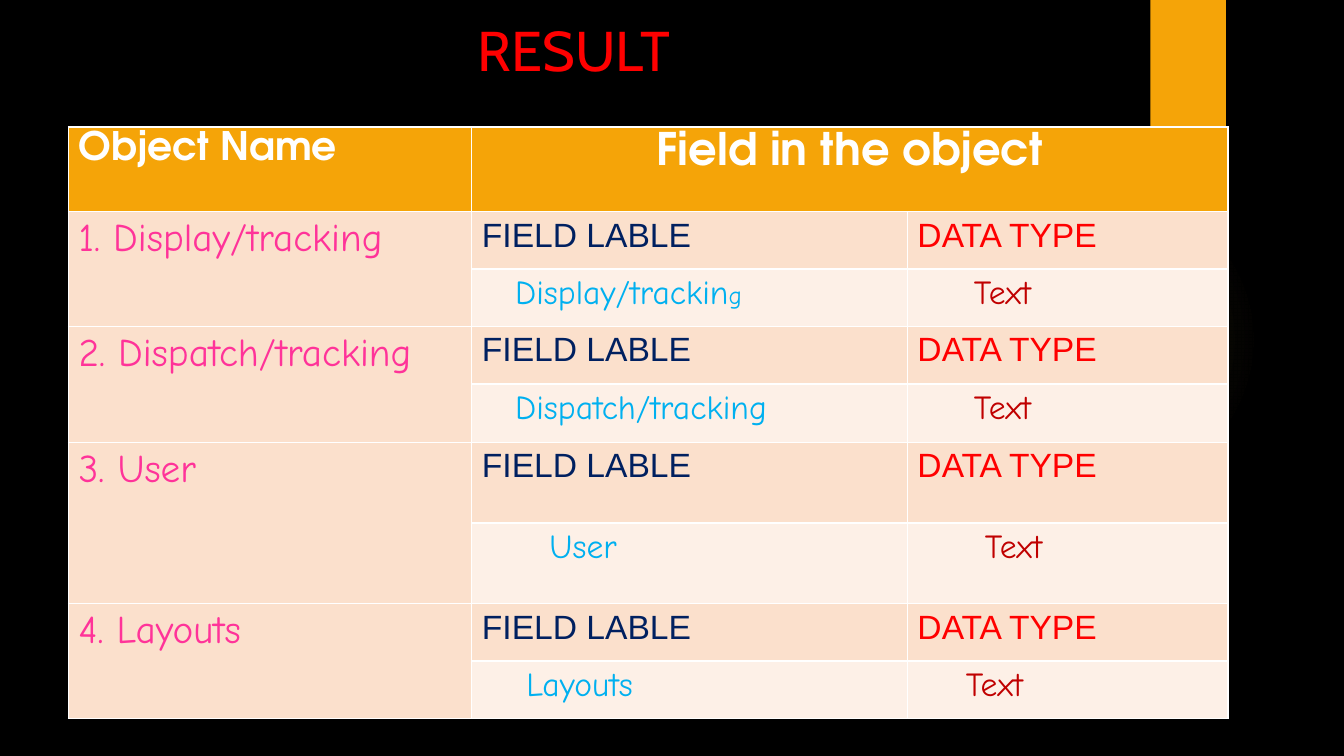
from pptx import Presentation
from pptx.dml.color import RGBColor
from pptx.enum.shapes import MSO_SHAPE
from pptx.oxml import parse_xml
from pptx.oxml.ns import nsdecls
from pptx.util import Inches, Pt

TITLE = "RESULT"
HEADS = ("Object Name", "Field in the object")
LABELS = ("FIELD LABLE", "DATA TYPE")
# object, field as (text, style) runs, field indent, type indent
OBJECTS = [
    ("1. Display/tracking", [("Display/trackin", "field"), ("g", "small")], 0.43, 0.66),
    ("2. Dispatch/tracking", [("Dispatch/tracking", "field")], 0.43, 0.66),
    ("3. User", [("User", "field")], 0.77, 0.77),
    ("4. Layouts", [("Layouts", "field")], 0.54, 0.58),
]
TYPE = "Text"
COLS = (4, 4.32, 3.18)
ROWS = (0.84, 0.57, 0.57, 0.57, 0.58, 0.8, 0.8, 0.57, 0.57)

THEME = {
    "back": "000000", "accent": "F5A408", "dark": "FBE0CC", "light": "FDF0E7",
    "glow": "FAC96A",
    "text": {  # font, size, colour, bold
        "title": ("Cabin", 40, "FF0000", False),
        "head": ("TeX Gyre Adventor", 28, "FFFFFF", True),
        "wide": ("TeX Gyre Adventor", 32, "FFFFFF", True),
        "object": ("Comic Neue", 28, "FF3399", False),
        "label": ("Arial", 24, "002060", False),
        "kind": ("Arial", 24, "FF0000", False),
        "field": ("Comic Neue", 24, "00B0F0", False),
        "small": ("Comic Neue", 18, "00B0F0", False),
        "type": ("Comic Neue", 24, "C00000", False),
    },
}


def paint(fill, name):
    fill.solid()
    fill.fore_color.rgb = RGBColor.from_string(THEME[name])


def write(frame, runs):
    for text, style in runs:
        run = frame.paragraphs[0].add_run()
        run.text = text
        name, size, color, bold = THEME["text"][style]
        for key, value in {"name": name, "size": Pt(size), "bold": bold}.items():
            setattr(run.font, key, value)
        run.font.color.rgb = RGBColor.from_string(color)


def put(cell, runs, fill, indent=0.1):
    paint(cell.fill, fill)
    cell.margin_left = Inches(indent)
    write(cell.text_frame, runs)


def add_plain(slide, kind, *box):
    shape = slide.shapes.add_shape(kind, *map(Inches, box))
    shape.shadow.inherit = False
    shape.line.fill.background()
    return shape


def add_glow(slide):
    """Add a faint round light that fades towards its rim."""
    shape = add_plain(slide, MSO_SHAPE.OVAL, 9.41, 1.83, 3.08, 3.08)
    stops = "".join(
        f'<a:gs pos="{pos}000"><a:srgbClr val="{THEME["glow"]}">'
        f'<a:alpha val="{alpha}000"/></a:srgbClr></a:gs>'
        for pos, alpha in ((0, 7), (36, 6), (69, 0), (100, 0)))
    grad = parse_xml(
        f'<a:gradFill {nsdecls("a")} rotWithShape="1"><a:gsLst>{stops}</a:gsLst>'
        '<a:path path="circle"><a:fillToRect l="50000" t="50000" r="50000" b="50000"/>'
        '</a:path></a:gradFill>')
    shape._element.spPr.insert(2, grad)


def add_grid(slide):
    box = map(Inches, (0.68, 1.26, sum(COLS), sum(ROWS)))
    table = slide.shapes.add_table(len(ROWS), len(COLS), *box).table
    for col, width in zip(table.columns, COLS):
        col.width = Inches(width)
    for row, height in zip(table.rows, ROWS):
        row.height = Inches(height)

    table.cell(0, 1).merge(table.cell(0, 2))
    put(table.cell(0, 0), [(HEADS[0], "head")], "accent")
    put(table.cell(0, 1), [(HEADS[1], "wide")], "accent", 1.83)
    for i, (name, field, left, right) in enumerate(OBJECTS):
        top = 1 + 2 * i
        table.cell(top, 0).merge(table.cell(top + 1, 0))
        put(table.cell(top, 0), [(name, "object")], "dark")
        for col, (text, style) in enumerate(zip(LABELS, ("label", "kind")), 1):
            put(table.cell(top, col), [(text, style)], "dark")
        put(table.cell(top + 1, 1), field, "light", left)
        put(table.cell(top + 1, 2), [(TYPE, "type")], "light", right)


def main():
    deck = Presentation()
    deck.slide_width, deck.slide_height = Inches(13.33), Inches(7.5)
    slide = deck.slides.add_slide(deck.slide_layouts[6])
    paint(slide.background.fill, "back")
    add_glow(slide)
    paint(add_plain(slide, MSO_SHAPE.RECTANGLE, 11.41, 0, 0.75, 1.25).fill, "accent")
    title = slide.shapes.add_textbox(*map(Inches, (3.41, 0.11, 5.8, 0.77))).text_frame
    title.word_wrap = True
    title.margin_left = Inches(1.33)
    write(title, [(TITLE, "title")])
    add_grid(slide)
    deck.save("out.pptx")


if __name__ == "__main__":
    main()
